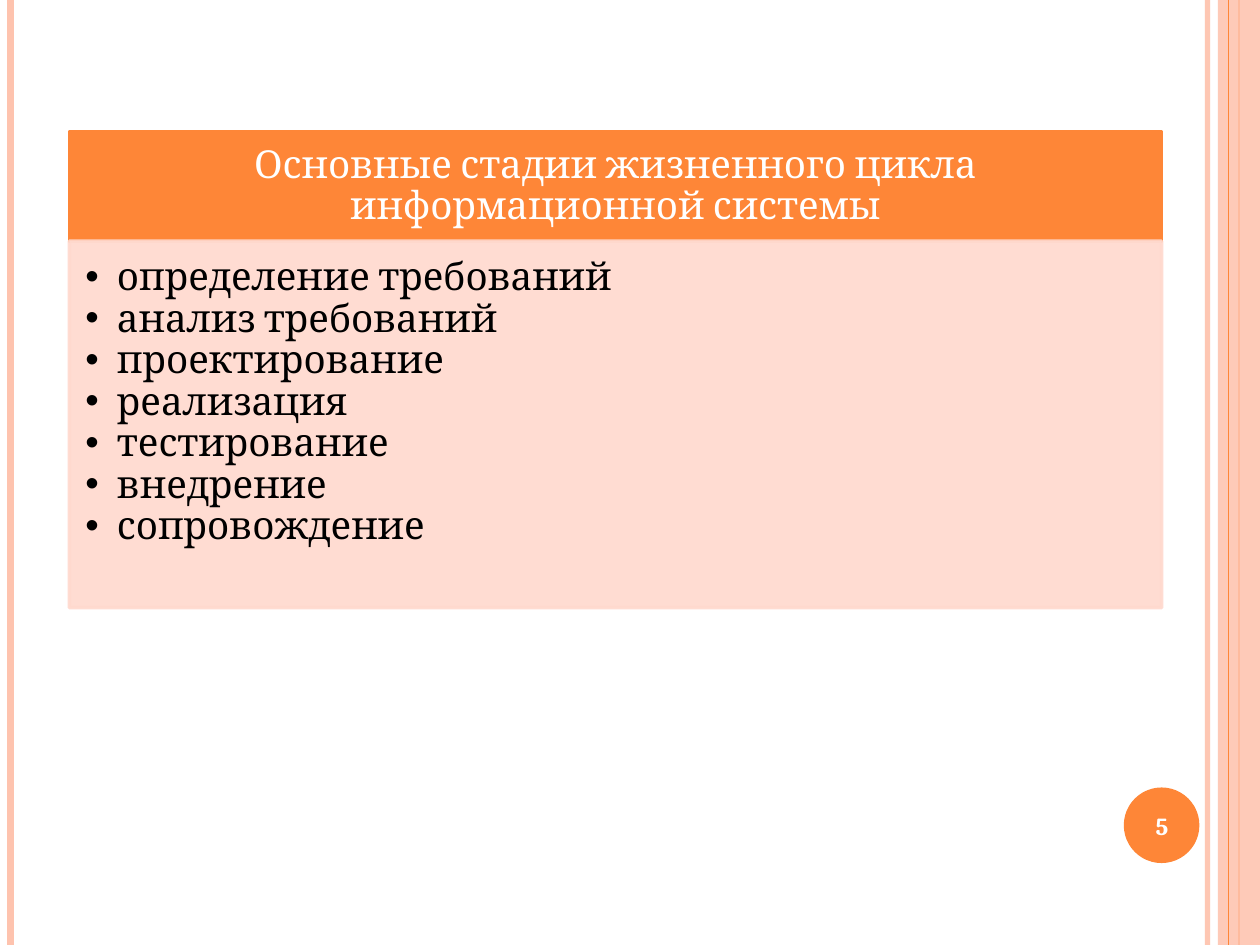
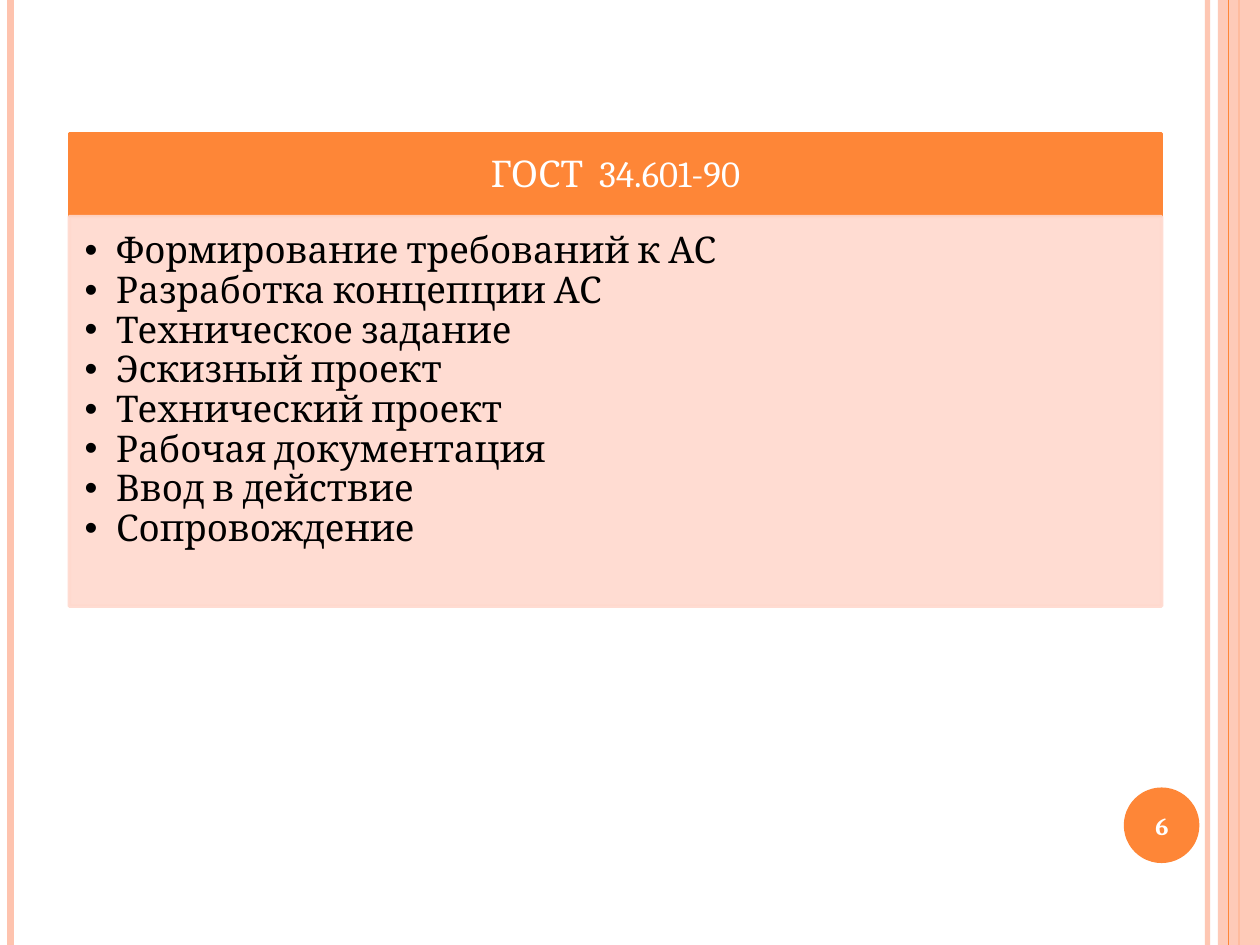
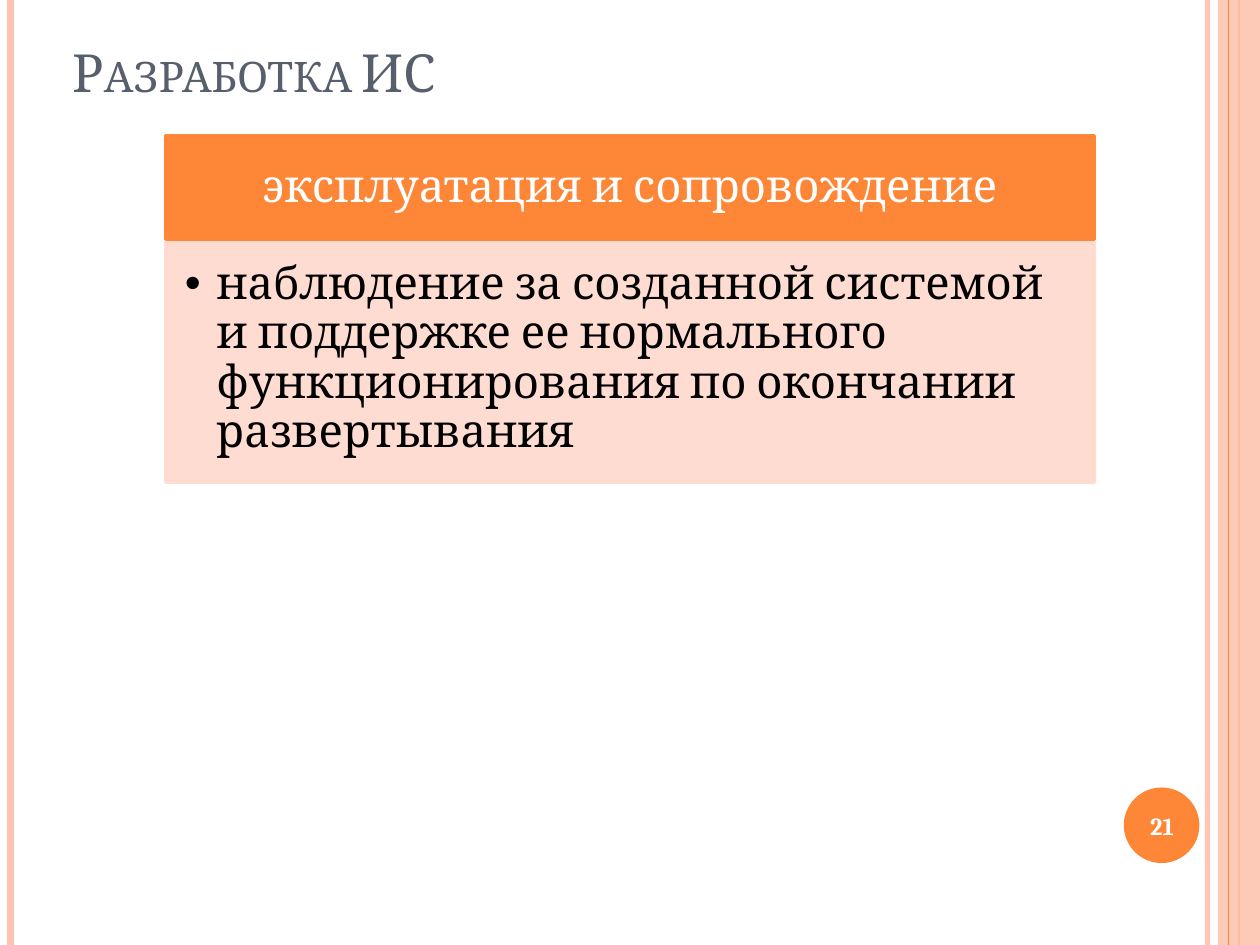
from dataclasses import dataclass

from lxml.etree import SubElement
from pptx import Presentation
from pptx.dml.color import RGBColor
from pptx.enum.shapes import MSO_CONNECTOR, MSO_SHAPE
from pptx.enum.text import MSO_ANCHOR, MSO_AUTO_SIZE, PP_ALIGN
from pptx.oxml.ns import qn
from pptx.util import Pt


@dataclass(frozen=True)
class Theme:
    font: str = "Cambria"
    accent: RGBColor = RGBColor(0xFE, 0x86, 0x37)
    peach: RGBColor = RGBColor(0xFE, 0xC3, 0xAE)
    panel: RGBColor = RGBColor(0xFF, 0xD9, 0xCE)
    slate: RGBColor = RGBColor(0x57, 0x5F, 0x6D)
    white: RGBColor = RGBColor(0xFF, 0xFF, 0xFF)
    black: RGBColor = RGBColor(0, 0, 0)
    title_size: int = 30
    number_size: int = 14


theme = Theme()
PAGE_WIDTH, PAGE_HEIGHT = 720, 540


def fade(shape, percent):
    """Make the fill and line colours of a shape partly transparent."""
    for colour in shape.element.spPr.iter(qn("a:srgbClr")):
        SubElement(colour, qn("a:alpha")).set("val", str(percent * 1000))


def write(shape, text, size, colour, align, anchor, bold=False):
    """Put text into a shape and format all of its paragraphs."""
    frame = shape.text_frame
    frame.text = text
    frame.word_wrap = True
    frame.auto_size = MSO_AUTO_SIZE.NONE
    frame.vertical_anchor = anchor
    for paragraph in frame.paragraphs:
        paragraph.alignment = align
        paragraph.space_before = paragraph.space_after = Pt(0)
        for run in paragraph.runs:
            run.font.name = theme.font
            run.font.size = Pt(size)
            run.font.bold = bold
            run.font.color.rgb = colour


# Content: boxes are left, top, width, height of the heading, then panel top and height
stages = [
    dict(number="5", title=None, size=22,
         heading="Основные стадии жизненного цикла информационной системы",
         heading_box=(39.6, 75.4, 624.2, 62.4), panel_top=137.8, panel_height=209.5,
         points=["определение требований", "анализ требований", "проектирование",
                 "реализация", "тестирование", "внедрение", "сопровождение"]),
    dict(number="6", title=None, size=21,
         heading="ГОСТ  34.601-90",
         heading_box=(39.6, 76.4, 624.2, 47.4), panel_top=123.8, panel_height=222.6,
         points=["Формирование требований к АС", "Разработка концепции АС",
                 "Техническое задание", "Эскизный проект", "Технический проект",
                 "Рабочая документация", "Ввод в действие", "Сопровождение"]),
    dict(number="21", title="Разработка ИС", size=26,
         heading="эксплуатация и сопровождение",
         heading_box=(94.8, 77.6, 530.6, 59.2), panel_top=138, panel_height=137.6,
         points=["наблюдение за созданной системой и поддержке ее нормального "
                 "функционирования по окончании развертывания"]),
]

prs = Presentation()
prs.slide_width, prs.slide_height = Pt(PAGE_WIDTH), Pt(PAGE_HEIGHT)
slides = [prs.slides.add_slide(prs.slide_layouts[1]) for _ in stages]

# Shared decoration: stripes, side band and number disc, moved to the master
canvas = slides[0].shapes
decoration = []
for x, colour, width, opacity in [(690, theme.peach, 3, 93), (6, theme.peach, 4.5, 100),
                                  (708, theme.accent, 1.5, 100),
                                  (702, theme.accent, 0.75, 100)]:
    stripe = canvas.add_connector(MSO_CONNECTOR.STRAIGHT, Pt(x), Pt(0), Pt(x), Pt(PAGE_HEIGHT))
    stripe.line.color.rgb = colour
    stripe.line.width = Pt(width)
    SubElement(stripe.element.spPr, qn("a:effectLst"))
    if opacity < 100:
        fade(stripe, opacity)
    decoration.append(stripe)

side_band = canvas.add_shape(MSO_SHAPE.RECTANGLE, Pt(696), Pt(0), Pt(24), Pt(PAGE_HEIGHT))
number_disc = canvas.add_shape(MSO_SHAPE.OVAL, Pt(642.2), Pt(450), Pt(43.2), Pt(43.2))
for shape, colour in [(side_band, theme.peach), (number_disc, theme.accent)]:
    shape.fill.solid()
    shape.fill.fore_color.rgb = colour
    shape.line.fill.background()
    shape.shadow.inherit = False
fade(side_band, 87)
decoration.insert(3, side_band)
decoration.append(number_disc)

for shape_id, shape in enumerate(decoration, start=101):
    shape.element.xpath(".//p:cNvPr")[0].set("id", str(shape_id))
    prs.slide_master.shapes.element.append(shape.element)

# Slides
for slide, stage in zip(slides, stages):
    size = stage["size"]
    left, top, width, height = stage["heading_box"]

    # Slide title, or the heading bar standing in for it
    heading = slide.shapes.title
    if stage["title"]:
        title = heading
        title.left, title.top, title.width, title.height = Pt(34), Pt(0), Pt(588), Pt(62.6)
        write(title, stage["title"], theme.title_size, theme.slate,
              PP_ALIGN.LEFT, MSO_ANCHOR.BOTTOM)
        title.text_frame.paragraphs[0].runs[0].font._element.set("cap", "small")
        heading = slide.shapes.add_shape(MSO_SHAPE.RECTANGLE, 0, 0, 0, 0)
        heading.shadow.inherit = False

    # Heading bar and list panel, with insets in proportion to the type size
    panel = slide.placeholders[1]
    write(heading, stage["heading"], size, theme.white, PP_ALIGN.CENTER, MSO_ANCHOR.MIDDLE)
    write(panel, "\n".join(stage["points"]), size, theme.black, PP_ALIGN.LEFT, MSO_ANCHOR.TOP)
    for box, box_top, box_height, colour, insets in [
        (heading, top, height, theme.accent, (0.56, 0.32, 0.56, 0.32)),
        (panel, stage["panel_top"], stage["panel_height"], theme.panel,
         (0.42, 0.42, 0.56, 0.63)),
    ]:
        box.left, box.top, box.width, box.height = Pt(left), Pt(box_top), Pt(width), Pt(box_height)
        box.fill.solid()
        box.fill.fore_color.rgb = colour
        box.line.color.rgb = colour
        box.line.width = Pt(2)
        frame = box.text_frame
        (frame.margin_left, frame.margin_top,
         frame.margin_right, frame.margin_bottom) = [Pt(size * share) for share in insets]
        for paragraph in frame.paragraphs:
            paragraph.line_spacing = 0.9
    fade(panel, 90)
    for point in panel.text_frame.paragraphs:
        properties = point._p.get_or_add_pPr()
        properties.set("marL", str(Pt(18)))
        properties.set("indent", str(-Pt(18)))

    # Slide number on the disc
    number = slide.shapes.add_textbox(Pt(640), Pt(451.4), Pt(48), Pt(41))
    write(number, stage["number"], theme.number_size, theme.white,
          PP_ALIGN.CENTER, MSO_ANCHOR.MIDDLE, bold=True)

prs.save("out.pptx")
